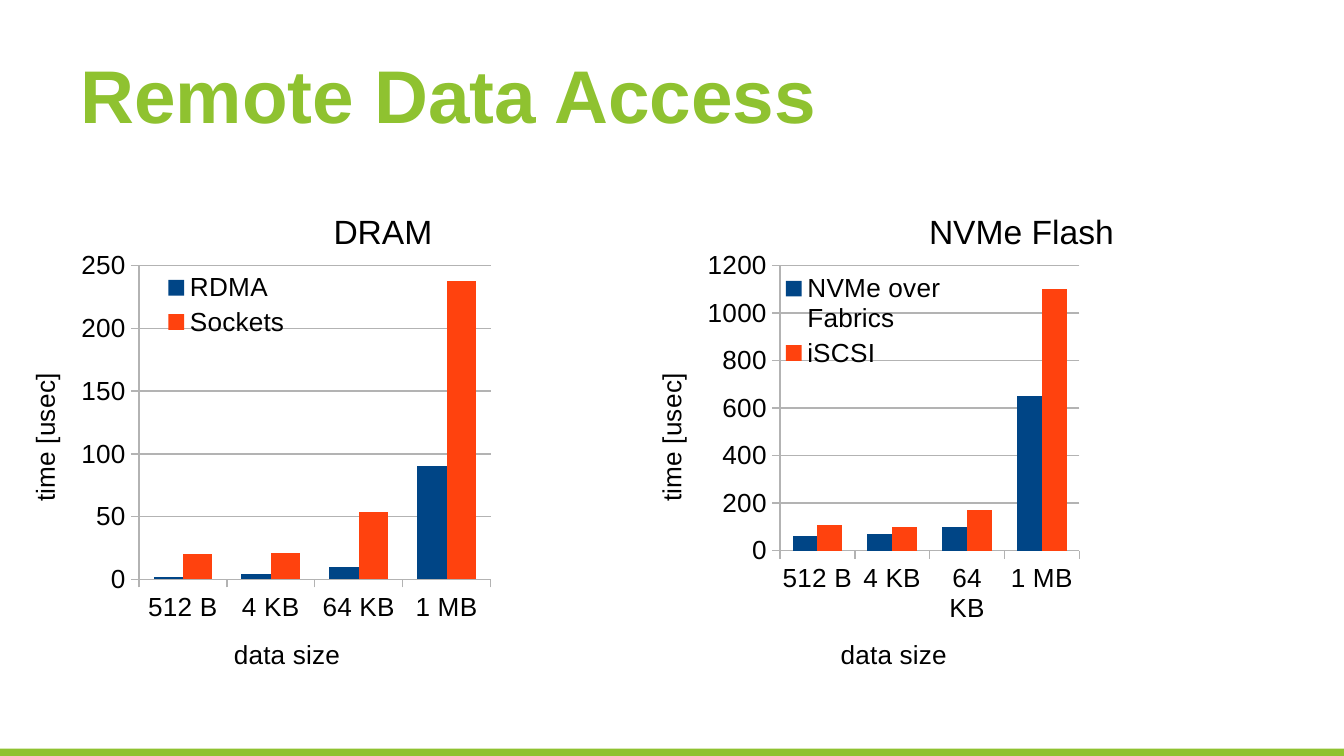
from lxml import etree
from pptx import Presentation
from pptx.chart.data import CategoryChartData
from pptx.dml.color import RGBColor
from pptx.enum.chart import XL_CHART_TYPE as ChartType, XL_LEGEND_POSITION as LegendPos
from pptx.enum.chart import XL_TICK_MARK as Tick
from pptx.enum.shapes import MSO_SHAPE as Shape
from pptx.enum.text import MSO_ANCHOR as Anchor, MSO_AUTO_SIZE as AutoSize, PP_ALIGN as Align
from pptx.oxml.ns import qn
from pptx.util import Inches, Pt

FONT = "Arial"
COLORS = {"green": "8FC230", "text": "000000", "axis": "B3B3B3",
          "blue": "004586", "orange": "FF420E"}
SIZES = ["512 B", "4 KB", "64 KB", "1 MB"]


def rgb(name):
    """Return the named colour."""
    return RGBColor.from_string(COLORS[name])


def style_font(font, size, color="text", bold=False):
    """Apply the slide's typeface with a size, colour and weight."""
    font.name, font.size, font.bold = FONT, Pt(size), bold
    font.color.rgb = rgb(color)


def add_text(s, text, box, size, color="text", bold=False, align=Align.LEFT):
    """Add a one-line text box and return its text frame."""
    tf = s.shapes.add_textbox(*map(Inches, box)).text_frame
    tf.word_wrap = True
    tf.text = text
    p = tf.paragraphs[0]
    p.alignment = align
    style_font(p.runs[0].font, size, color, bold)
    return tf


def add_title(s, text):
    """Add the slide title."""
    tf = add_text(s, text, (0.5, 0.23, 9, 0.94), 40, "green", True)
    tf.vertical_anchor = Anchor.MIDDLE


def add_chart_label(s, text, left, width):
    """Add a centred heading above a chart."""
    tf = add_text(s, text, (left, 1.52, width, 0.38), 18, align=Align.CENTER)
    tf.auto_size = AutoSize.SHAPE_TO_FIT_TEXT


def add_footer_bar(s):
    """Add the green bar along the bottom edge."""
    sp = s.shapes.add_shape(Shape.RECTANGLE, 0, Inches(5.57), Inches(10), Inches(0.06))
    sp.shadow.inherit = False
    sp.fill.solid()
    sp.fill.fore_color.rgb = rgb("green")
    sp.line.fill.background()


def place(parent, index, percents, inner=False):
    """Give a chart part a manual layout in percent of the chart."""
    for old in parent.findall(qn("c:layout")):
        parent.remove(old)
    layout = etree.Element(qn("c:layout"))
    manual = etree.SubElement(layout, qn("c:manualLayout"))
    settings = {"layoutTarget": "inner"} if inner else {}
    settings.update(xMode="edge", yMode="edge")
    settings.update((tag, round(value / 100, 4)) for tag, value in zip("xywh", percents))
    for tag, value in settings.items():
        etree.SubElement(manual, qn(f"c:{tag}")).set("val", str(value))
    parent.insert(index, layout)


def style_axis(axis, title, position):
    """Style an axis and place its title."""
    style_font(axis.tick_labels.font, 14)
    axis.major_tick_mark, axis.minor_tick_mark = Tick.OUTSIDE, Tick.NONE
    axis.format.line.color.rgb = rgb("axis")
    axis.format.line.width = Pt(0)
    tf = axis.axis_title.text_frame
    tf.text = title
    style_font(tf.paragraphs[0].runs[0].font, 14)
    place(axis.axis_title._element, 1, position)


def add_timing_chart(s, left, series, top_value, step, plot_box, legend_box, title_x):
    """Add a column chart of access time by data size."""
    data = CategoryChartData()
    data.categories = SIZES
    for name, values in series.items():
        data.add_series(name, values)
    chart = s.shapes.add_chart(ChartType.COLUMN_CLUSTERED, Inches(left), Inches(1.8),
                               Inches(4.83), Inches(3.4), data).chart
    style_font(chart.font, 10)
    chart.has_title = False
    plot = chart.plots[0]
    plot.gap_width, plot.overlap, plot.vary_by_categories = 100, 0, False
    for ser, color in zip(plot.series, ("blue", "orange")):
        ser.format.fill.solid()
        ser.format.fill.fore_color.rgb = rgb(color)
    style_axis(chart.category_axis, "data size", (title_x, 85.5))
    value_axis = chart.value_axis
    style_axis(value_axis, "time [usec]", (3.6, 27.7))
    value_axis.minimum_scale, value_axis.maximum_scale = 0, top_value
    value_axis.major_unit = step
    grid = value_axis.major_gridlines.format.line
    grid.color.rgb = rgb("axis")
    grid.width = Pt(0)
    chart.has_legend = True
    legend = chart.legend
    legend.position = LegendPos.RIGHT
    legend.include_in_layout = False
    style_font(legend.font, 14)
    place(legend._element, 1, legend_box)
    place(chart._chartSpace.chart.plotArea, 0, plot_box, inner=True)


def main():
    """Build the slide and save it."""
    prs = Presentation()
    prs.slide_width = Inches(10)
    prs.slide_height = prs.slide_width * 9 // 16
    s = prs.slides.add_slide(prs.slide_layouts[6])
    add_footer_bar(s)
    add_title(s, "Remote Data Access")
    add_timing_chart(s, 4.66, {"NVMe over Fabrics": (60, 70, 100, 650),
                               "iSCSI": (110, 100, 170, 1100)},
                     1200, 200, (23.7, 5.2, 46.1, 62.4), (22.5, 5.8, 28, 23), 32.3)
    add_chart_label(s, "DRAM", 1.2, 3.3)
    add_chart_label(s, "NVMe Flash", 5.8, 3.6)
    add_timing_chart(s, 0, {"RDMA": (2, 4, 10, 90), "Sockets": (20, 21, 54, 238)},
                     250, 50, (21.4, 5.2, 54.2, 68.7), (23.9, 5.8, 22, 16), 35.3)
    prs.save("out.pptx")


if __name__ == "__main__":
    main()
